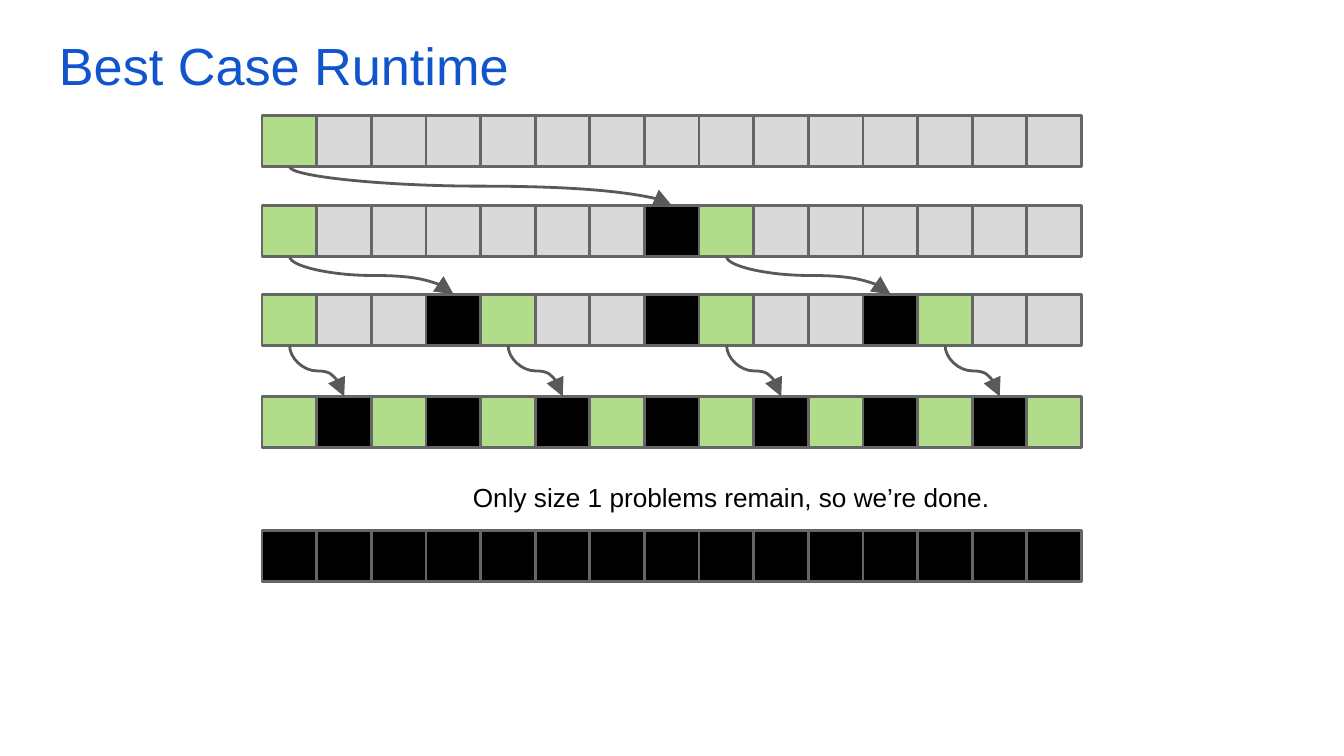
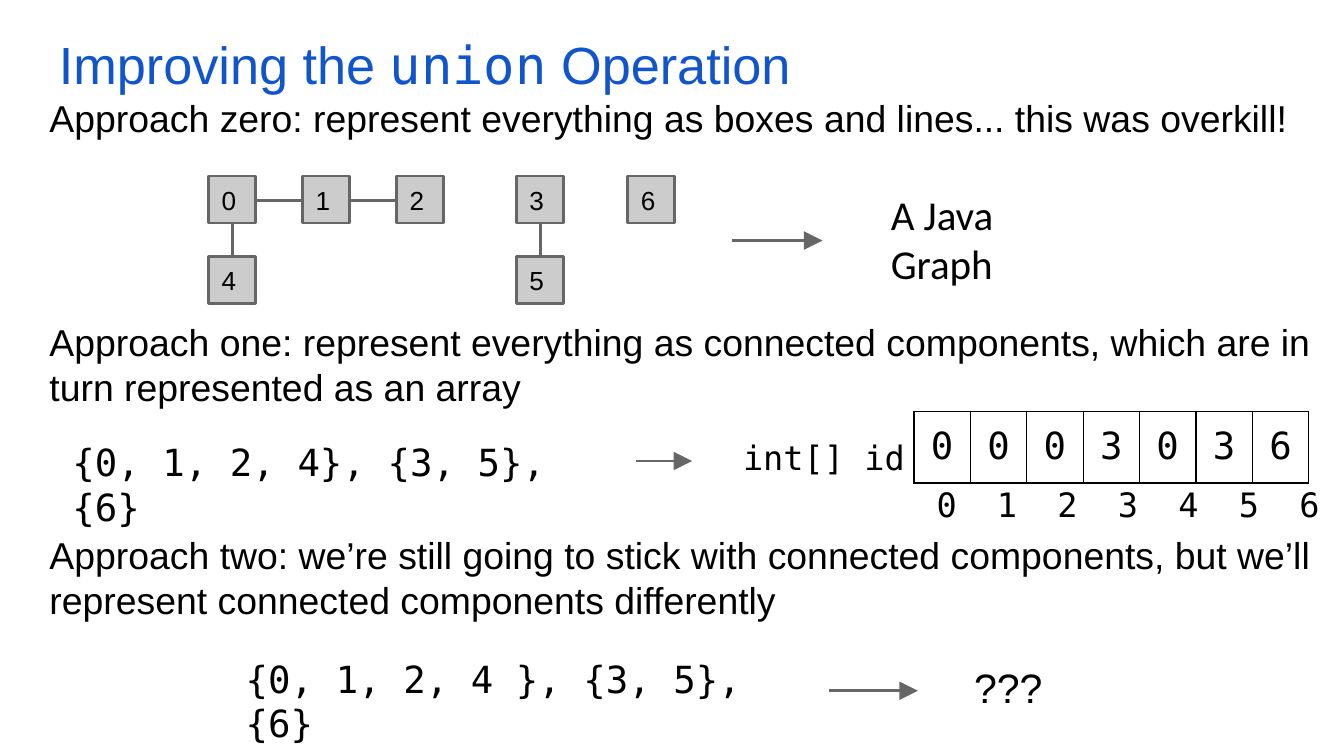
from typing import NamedTuple

import pptx
import pptx.dml.color
import pptx.enum.shapes
import pptx.enum.text
import pptx.oxml
import pptx.oxml.ns
import pptx.util
from lxml import etree

Inches = pptx.util.Inches
Pt = pptx.util.Pt
RGBColor = pptx.dml.color.RGBColor
qn = pptx.oxml.ns.qn
Align = pptx.enum.text.PP_ALIGN
Anchor = pptx.enum.text.MSO_ANCHOR
Line = pptx.enum.shapes.MSO_CONNECTOR

BLUE = RGBColor(0x11, 0x55, 0xCC)
BLACK = RGBColor(0, 0, 0)
GREEN = RGBColor(0xB1, 0xDD, 0x8B)
LIGHT = RGBColor(0xD9, 0xD9, 0xD9)
NODE_GRAY = RGBColor(0xCC, 0xCC, 0xCC)
EDGE = RGBColor(0x66, 0x66, 0x66)
CURVE = RGBColor(0x59, 0x59, 0x59)
SANS, MONO, CALIBRI = "Arial", "DejaVu Sans Mono", "Calibri"

CELL_COUNT = 15
CELL_LEFT, CELL_STEP = 1.95, 5.69 / 14
CELL_W, CELL_H = 0.41, 0.38
NODE = 0.35
BODY_GAP, BODY_LINE = 6, 24


class Level(NamedTuple):
    top: float
    step: int


class Node(NamedTuple):
    label: str
    left: float
    top: float


class Segment(NamedTuple):
    x1: float
    y1: float
    x2: float
    y2: float


class Label(NamedTuple):
    text: str
    left: float
    top: float
    width: float
    height: float
    size: int
    font: str


LEVELS = [Level(0.86, 16), Level(1.53, 8), Level(2.19, 4), Level(2.95, 2), Level(3.95, 1)]
NODES = [
    Node("0", 1.55, 1.31), Node("1", 2.25, 1.31), Node("2", 2.95, 1.31),
    Node("3", 3.84, 1.31), Node("4", 1.55, 1.91), Node("5", 3.84, 1.91),
    Node("6", 4.67, 1.31),
]
EDGES = [
    Segment(1.73, 1.67, 1.73, 1.91), Segment(1.9, 1.49, 2.25, 1.49),
    Segment(2.6, 1.49, 2.95, 1.49), Segment(4.02, 1.67, 4.02, 1.91),
]
ARROWS = [
    Segment(5.45, 1.79, 6.12, 1.79), Segment(4.73, 3.43, 5.15, 3.43),
    Segment(6.17, 5.14, 6.83, 5.14),
]
LABELS = [
    Label("A Java Graph", 6.53, 1.31, 1.63, 0.69, 22, CALIBRI),
    Label("{0, 1, 2, 4}, {3, 5}, {6}", 0.44, 3.17, 4.09, 0.53, 20, MONO),
    Label("int[] id", 5.43, 3.15, 1.42, 0.35, 18, MONO),
    Label("{0, 1, 2, 4 }, {3, 5}, {6}", 1.73, 4.78, 4.21, 0.67, 20, MONO),
    Label("???", 7.15, 4.83, 0.81, 0.61, 22, SANS),
]
APPROACHES = [
    ("Approach zero: represent everything as boxes and lines... this was overkill!", 0),
    ("Approach one: represent everything as connected components, "
     "which are in turn represented as an array", 3),
    ("Approach two: we’re still going to stick with connected components, "
     "but we’ll represent connected components differently", 2),
]


def add_run(p, text: str, *, size: float, font: str = SANS, color: RGBColor = BLACK) -> None:
    r = p.add_run()
    r.text = text
    r.font.size = Pt(size)
    r.font.name = font
    r.font.color.rgb = color


def set_frame(tf, anchor=Anchor.TOP) -> None:
    tf.word_wrap = True
    tf.vertical_anchor = anchor
    tf.margin_left = tf.margin_right = tf.margin_top = tf.margin_bottom = Inches(0.1)


def add_box(s, left: float, top: float, width: float, height: float):
    sp = s.shapes.add_textbox(Inches(left), Inches(top), Inches(width), Inches(height))
    set_frame(sp.text_frame)
    return sp.text_frame


def add_label(s, label: Label):
    p = add_box(s, label.left, label.top, label.width, label.height).paragraphs[0]
    add_run(p, label.text, size=label.size, font=label.font)
    return p


def add_title(s, top: float, *parts: tuple[str, str]) -> None:
    p = add_box(s, 0.34, top, 9.32, 0.63).paragraphs[0]
    for text, font in parts:
        add_run(p, text, size=28, font=font, color=BLUE)


def add_square(s, left: float, top: float, width: float, height: float, fill: RGBColor):
    sp = s.shapes.add_shape(
        pptx.enum.shapes.MSO_SHAPE.RECTANGLE,
        Inches(left), Inches(top), Inches(width), Inches(height))
    sp.shadow.inherit = False
    sp.fill.solid()
    sp.fill.fore_color.rgb = fill
    sp.line.color.rgb = EDGE
    sp.line.width = Pt(1.5)
    return sp


def add_line(s, seg: Segment, *, kind=Line.STRAIGHT, color: RGBColor = EDGE, arrow: bool = False):
    cx = s.shapes.add_connector(
        kind, Inches(seg.x1), Inches(seg.y1), Inches(seg.x2), Inches(seg.y2))
    cx.line.color.rgb = color
    cx.line.width = Pt(1.5)
    if arrow:
        ln = cx._element.spPr.find(qn("a:ln"))
        etree.SubElement(ln, qn("a:tailEnd"), type="triangle", w="lg", len="lg")
    etree.SubElement(cx._element.spPr, qn("a:effectLst"))
    return cx


def add_drop_curve(s, seg: Segment) -> None:
    mid_x, mid_y = (seg.x1 + seg.x2) / 2, (seg.y1 + seg.y2) / 2
    half_w, half_h = (seg.y2 - seg.y1) / 2, (seg.x2 - seg.x1) / 2
    turned = Segment(mid_x - half_w, mid_y - half_h, mid_x + half_w, mid_y + half_h)
    cx = add_line(s, turned, kind=Line.CURVE, color=CURVE, arrow=True)
    xfrm = cx._element.spPr.find(qn("a:xfrm"))
    xfrm.set("rot", str(270 * 60000))
    xfrm.set("flipH", "1")


def cell_color(index: int, step: int) -> RGBColor:
    if index % step == step - 1:
        return BLACK
    return GREEN if index % step == 0 else LIGHT


def cell_center(index: int) -> float:
    return CELL_LEFT + index * CELL_STEP + CELL_W / 2


def build_best_case(prs) -> None:
    s = prs.slides.add_slide(prs.slide_layouts[6])
    add_title(s, 0.15, ("Best Case Runtime", SANS))
    for level in LEVELS:
        for i in range(CELL_COUNT):
            add_square(s, CELL_LEFT + i * CELL_STEP, level.top, CELL_W, CELL_H,
                       cell_color(i, level.step))
    for upper, lower in zip(LEVELS[:3], LEVELS[1:]):
        for i in range(0, CELL_COUNT, upper.step):
            pivot = i + lower.step - 1
            add_drop_curve(s, Segment(cell_center(i), upper.top + CELL_H,
                                      cell_center(pivot), lower.top))
    add_label(s, Label("Only size 1 problems remain, so we’re done.",
                       3.42, 3.48, 4.59, 0.2, 14, SANS))


def add_approaches(s) -> None:
    tf = add_box(s, 0.27, 0.61, 9.73, 0.35)
    for i, (text, skipped) in enumerate(APPROACHES):
        p = tf.add_paragraph() if i else tf.paragraphs[0]
        p.space_before = Pt(BODY_GAP + skipped * (BODY_LINE + BODY_GAP))
        add_run(p, text, size=20)


def add_id_table(s, values: str) -> None:
    count = len(values)
    table = s.shapes.add_table(1, count, Inches(6.8), Inches(3.06),
                               Inches(0.42 * count), Inches(0.42)).table
    table.first_row = table.horz_banding = False
    for cell, value in zip(table.rows[0].cells, values):
        cell.margin_left = cell.margin_right = Inches(0.1)
        cell.margin_top = cell.margin_bottom = Inches(0.1)
        p = cell.text_frame.paragraphs[0]
        p.alignment = Align.CENTER
        add_run(p, value, size=20, font=MONO)
        tc_pr = cell._tc.get_or_add_tcPr()
        for side in ("a:lnL", "a:lnR", "a:lnT", "a:lnB"):
            ln = etree.SubElement(tc_pr, qn(side), w=str(Pt(0.75)))
            fill = etree.SubElement(ln, qn("a:solidFill"))
            etree.SubElement(fill, qn("a:srgbClr"), val=str(BLACK))
        cell.fill.background()


def add_indices(s, count: int) -> None:
    text = "\t".join(str(i) for i in range(count))
    p = add_label(s, Label(text, 6.87, 3.5, 3.26, 0.3, 18, MONO))
    tabs = etree.SubElement(p._p.get_or_add_pPr(), qn("a:tabLst"))
    for i in range(1, count):
        etree.SubElement(tabs, qn("a:tab"), pos=str(Inches(0.45 * i)), algn="l")


def build_union(prs) -> None:
    s = prs.slides.add_slide(prs.slide_layouts[6])
    add_title(s, 0.14, ("Improving the ", SANS), ("union", MONO), (" Operation", SANS))
    add_approaches(s)
    for node in NODES:
        sp = add_square(s, node.left, node.top, NODE, NODE, NODE_GRAY)
        set_frame(sp.text_frame, Anchor.MIDDLE)
        p = sp.text_frame.paragraphs[0]
        p.alignment = Align.LEFT
        add_run(p, node.label, size=14)
    for edge in EDGES:
        add_line(s, edge)
    for arrow in ARROWS:
        add_line(s, arrow, arrow=True)
    for label in LABELS:
        add_label(s, label)
    add_id_table(s, "0003036")
    add_indices(s, 7)


def main() -> None:
    prs = pptx.Presentation()
    prs.slide_width = Inches(10)
    prs.slide_height = prs.slide_width * 9 // 16
    build_best_case(prs)
    build_union(prs)
    prs.save("out.pptx")


if __name__ == "__main__":
    main()
